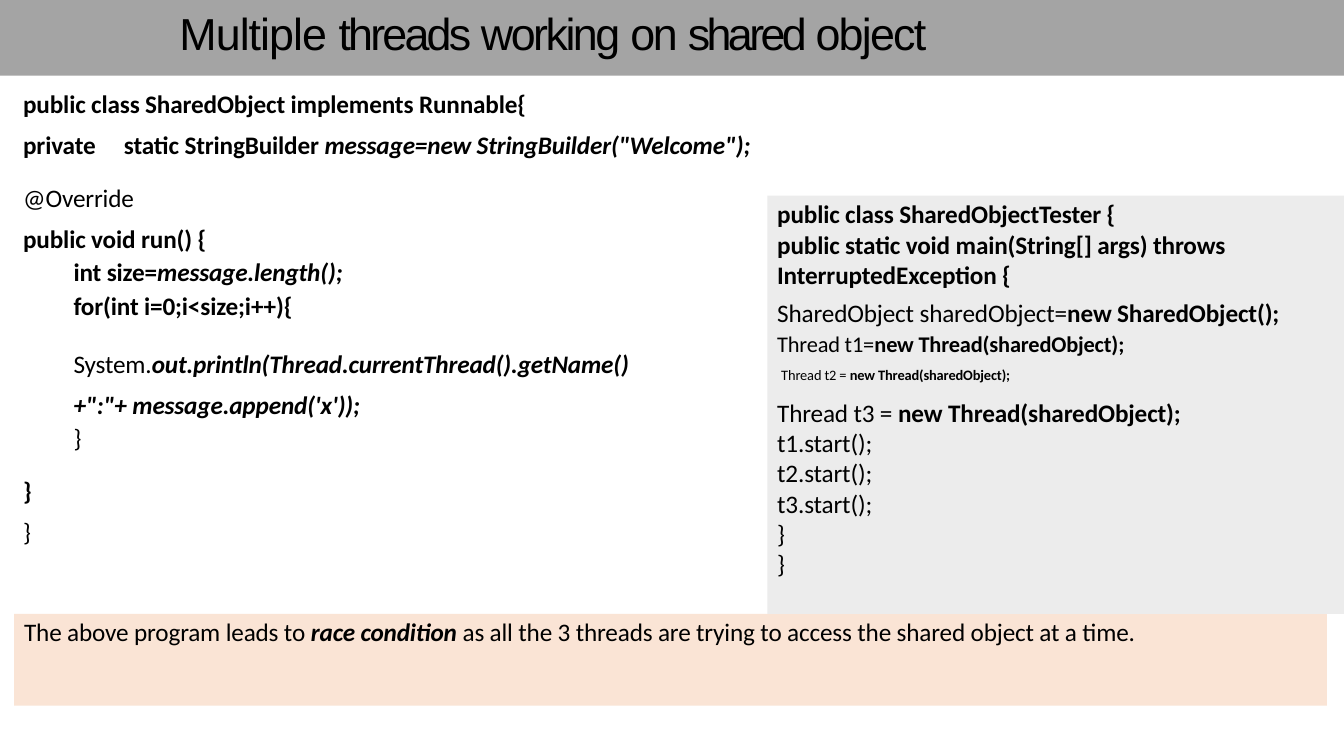
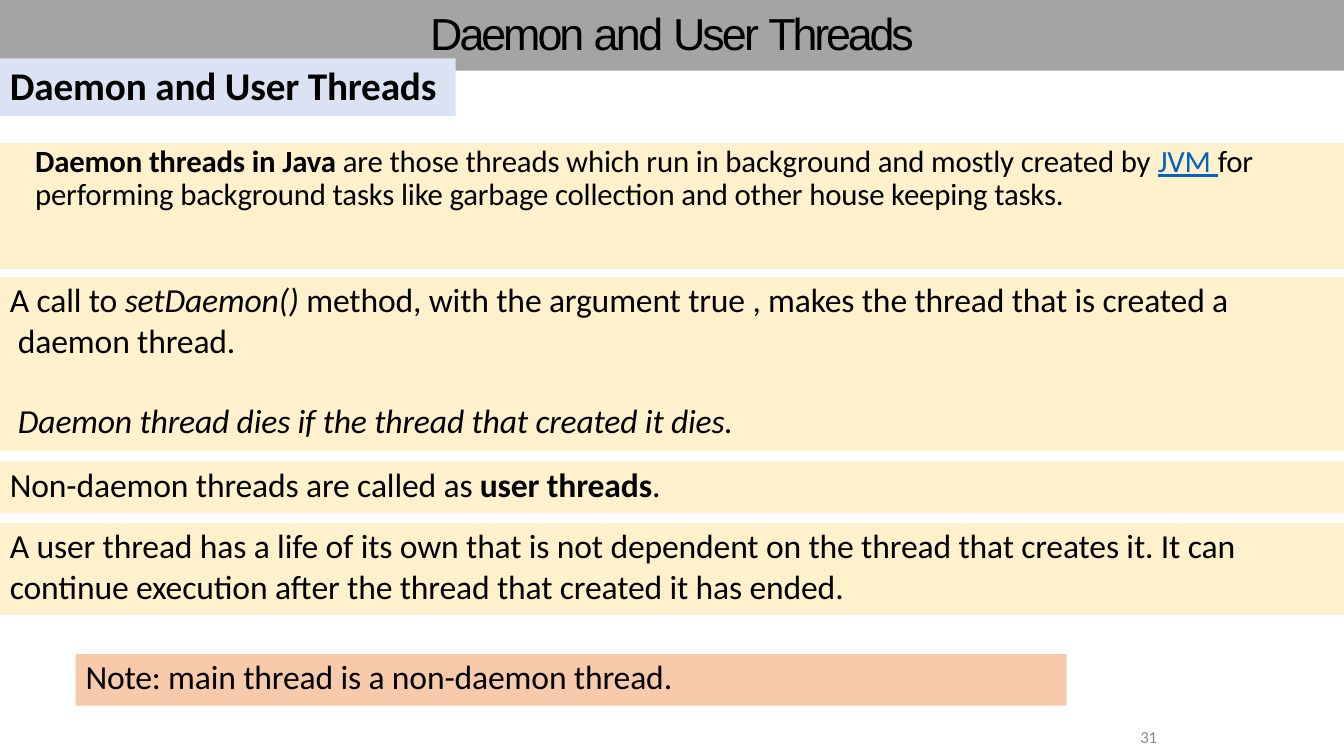
"""Build two slides on Java threads: a shared object, and daemon and user threads."""
from dataclasses import dataclass

from lxml import etree
from pptx import Presentation
from pptx import util as u
from pptx.dml.color import RGBColor
from pptx.enum import shapes, text
from pptx.oxml.ns import qn

WIDTH, HEIGHT = 13.33, 7.5
BAR, CODE, CREAM, LABEL = "A4A4A4", "ECECEC", "FFF1CC", "DAE2F3"
PEACH, NOTE, BLACK, LINK, GREY = "FAE4D5", "F8CAAC", "000000", "0462C1", "888888"


def color(value):
    """Turn a hex string into a colour."""
    return RGBColor.from_string(value)


@dataclass
class Line:
    """A paragraph: (words, style) runs, where b, i and u are styles."""
    runs: list
    size: float = 18
    indent: float = 0
    first: float = 0
    before: float = 0
    exact: float = 0
    tab: float = 0
    ink: str = BLACK


class Deck:
    """The shared style and the slide being filled."""

    def __init__(self):
        """Open an empty wide presentation."""
        self.show = Presentation()
        self.show.slide_width = u.Inches(WIDTH)
        self.show.slide_height = u.Inches(HEIGHT)
        self.slide = None

    def frame(self, shape, left, top, right=0):
        """Prepare the text area of a shape and return it."""
        area = shape.text_frame
        area.word_wrap = True
        area.auto_size = text.MSO_AUTO_SIZE.NONE
        area.vertical_anchor = text.MSO_ANCHOR.TOP
        area.margin_left, area.margin_top = u.Inches(left), u.Inches(top)
        area.margin_right, area.margin_bottom = u.Inches(right), 0
        return area

    def add_words(self, paragraph, words, face, size, ink, spacing, style=""):
        """Add a formatted run with letter spacing in points."""
        run = paragraph.add_run()
        run.text = words
        font = run.font
        font.name, font.size = face, u.Pt(size)
        font.bold, font.italic, font.underline = ("b" in style, "i" in style, "u" in style)
        font.color.rgb = color(LINK if "u" in style else ink)
        run._r.get_or_add_rPr().set("spc", str(round(spacing * 100)))

    def title(self, words, height, left=0, align=text.PP_ALIGN.LEFT):
        """Start a slide whose title fills the grey bar."""
        self.slide = self.show.slides.add_slide(self.show.slide_layouts[5])
        bar = self.slide.shapes.title
        bar.left, bar.top = 0, 0
        bar.width, bar.height = u.Inches(WIDTH), u.Inches(height)
        bar.fill.solid()
        bar.fill.fore_color.rgb = color(BAR)
        heading = self.frame(bar, left, 0.06).paragraphs[0]
        heading.alignment = align
        for word, spacing in words:
            self.add_words(heading, word, "Arial", 32, BLACK, spacing)

    def add_lines(self, area, lines):
        """Fill a text area with lines."""
        for number, line in enumerate(lines):
            paragraph = area.add_paragraph() if number else area.paragraphs[0]
            paragraph.alignment = text.PP_ALIGN.LEFT
            paragraph.space_before = u.Pt(line.before)
            if line.exact:
                paragraph.line_spacing = u.Pt(line.exact)
            props = paragraph._p.get_or_add_pPr()
            props.set("marL", str(u.Inches(line.indent)))
            props.set("indent", str(u.Inches(line.first)))
            if line.tab:
                stops = etree.SubElement(props, qn("a:tabLst"))
                etree.SubElement(stops, qn("a:tab"), pos=str(u.Inches(line.tab)), algn="l")
            for words, style in line.runs:
                self.add_words(paragraph, words, "Calibri", line.size, line.ink, -0.1, style)

    def plain(self, box, lines):
        """Place lines without a background."""
        holder = self.slide.shapes.add_textbox(*map(u.Inches, box))
        self.add_lines(self.frame(holder, 0, 0), lines)

    def panel(self, box, fill, lines, top=0.02, right=0):
        """Place lines on a filled rectangle."""
        panel = self.slide.shapes.add_shape(shapes.MSO_SHAPE.RECTANGLE, *map(u.Inches, box))
        panel.shadow.inherit = False
        panel.fill.solid()
        panel.fill.fore_color.rgb = color(fill)
        panel.line.fill.background()
        self.add_lines(self.frame(panel, 0.1, top, right), lines)


def shared_object(deck):
    """Show the code of threads that share an object."""
    deck.title([("Multiple ", -0.7), ("threads ", -2), ("working ", -1.8), ("on ", -1.7),
                ("shared ", -2.6), ("object", -1.3)], 0.75, left=1.78)
    deck.plain((0.23, 0.88, 7.3, 4.7), [
        Line([("public class SharedObject implements Runnable{", "b")]),
        Line([("private\tstatic StringBuilder ", "b"),
              ('message=new StringBuilder("Welcome");', "bi")], before=7.3, tab=1.05),
        Line([("@Override", "")], before=16.4),
        Line([("public void run() {", "b")], before=7.4),
        Line([("int size=", "b"), ("message.length();", "bi")], indent=0.5, before=2.4),
        Line([("for(int i=0;i<size;i++){", "b")], indent=0.5, before=2.4),
        Line([("System.", ""), ("out.println(Thread.currentThread().getName()", "bi")],
             indent=0.5, before=20),
        Line([("+\":\"+ message.append('x'));", "bi")], indent=0.5, before=7.4),
        Line([("}", "")], indent=0.5, before=2.4),
        Line([("}", "b")], before=16),
        Line([("}", "")], before=7.4),
    ])
    deck.panel((0.14, 6.09, 13.02, 0.91), PEACH, [
        Line([("The above program leads to ", ""), ("race condition ", "bi"),
              ("as all the 3 threads are trying to access the shared object at a time.", "")]),
    ])
    start = ("new Thread(sharedObject);", "b")
    deck.panel((7.61, 1.94, 5.72, 4.15), CODE, [
        Line([("public class SharedObjectTester {", "b")]),
        Line([("public static void main(String[] args) throws InterruptedException {", "b")]),
        Line([("SharedObject sharedObject=", ""), ("new SharedObject();", "b")], before=6),
        Line([("Thread t1=", ""), start], size=16, before=1.8),
        Line([("Thread t2 = ", ""), start], size=10.3, indent=0.04, before=6),
        Line([("Thread t3 = ", ""), start], before=10),
        *[Line([(code, "")]) for code in ("t1.start();", "t2.start();", "t3.start();", "}", "}")],
    ], top=0.03)


def daemon_threads(deck):
    """Explain daemon threads and user threads."""
    deck.title([("Daemon ", -2.2), ("and ", -1.9), ("User ", -2.1), ("Threads", -2.3)],
               0.7, align=text.PP_ALIGN.CENTER)
    deck.panel((0, 0.58, 4.52, 0.57), LABEL,
               [Line([("Daemon and User Threads", "b")], size=28, exact=30.3)], top=0.07)
    bands = [
        (1.42, 1.25, [
            Line([("Daemon threads in Java ", "b"),
                  ("are those threads which run in background and mostly created by ", ""),
                  ("JVM ", "u"),
                  ("for performing background tasks like garbage collection "
                   "and other house keeping tasks.", "")],
                 size=22, indent=0.25, exact=23.8)]),
        (2.75, 1.72, [
            Line([("A call to ", ""), ("setDaemon() ", "i"),
                  ("method, with the argument true , makes the thread that is created "
                   "a daemon thread.", "")], size=24, indent=0.08, first=-0.08),
            Line([("Daemon thread dies if the thread that created it dies.", "i")],
                 size=24, indent=0.08, before=28.8)]),
        (4.58, 0.51, [
            Line([("Non-daemon threads are called as ", ""), ("user threads", "b"), (".", "")],
                 size=24)]),
        (5.19, 0.91, [
            Line([("A user thread has a life of its own that is not dependent on the thread "
                   "that creates it. It can continue execution after the thread that created "
                   "it has ended.", "")], size=24)]),
    ]
    for top, height, lines in bands:
        deck.panel((0, top, WIDTH, height), CREAM, lines, right=0.73)
    deck.panel((0.75, 6.49, 9.83, 0.51), NOTE,
               [Line([("Note: main thread is a non-daemon thread.", "")], size=24)])
    deck.plain((11.31, 7.21, 0.4, 0.23), [Line([("31", "")], size=12, ink=GREY)])


def main():
    """Build and save the slides."""
    deck = Deck()
    shared_object(deck)
    daemon_threads(deck)
    deck.show.save("out.pptx")


if __name__ == "__main__":
    main()
